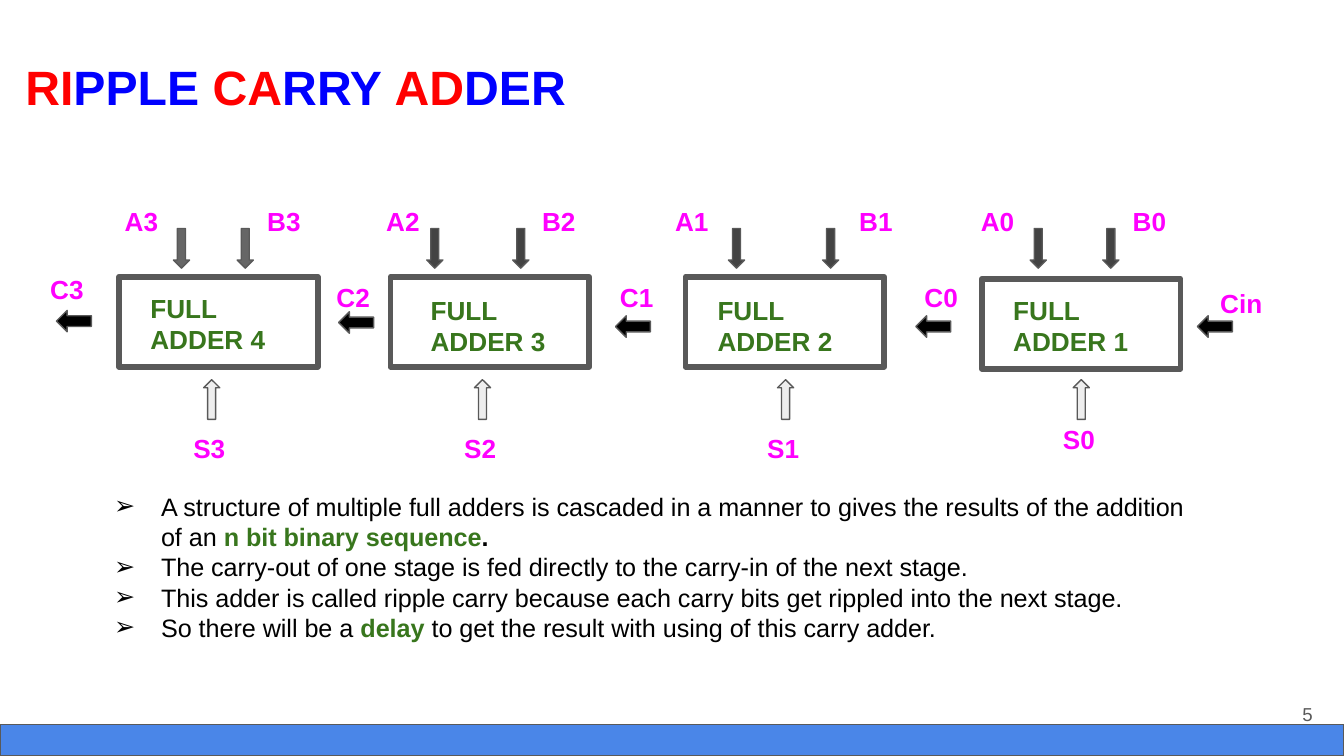
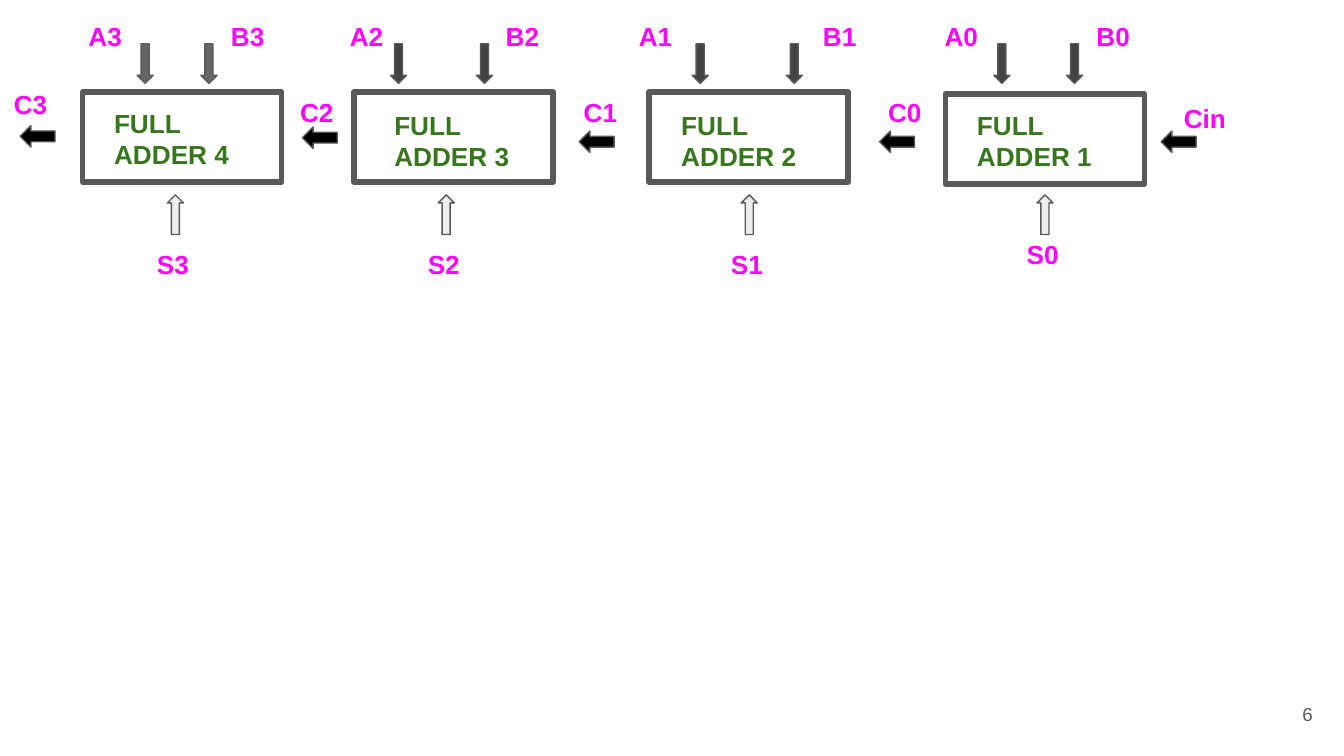
import lxml.etree
import pptx
import pptx.dml.color
import pptx.enum.shapes
import pptx.enum.text
import pptx.oxml.ns
import pptx.util

RGBColor = pptx.dml.color.RGBColor
Preset = pptx.enum.shapes.MSO_SHAPE
Anchor = pptx.enum.text.MSO_ANCHOR
Align = pptx.enum.text.PP_ALIGN

PX = 4572
FONT = "Arial"
WHITE = RGBColor(0xFF, 0xFF, 0xFF)
BLACK = RGBColor(0x00, 0x00, 0x00)
RED = RGBColor(0xFF, 0x00, 0x00)
BLUE = RGBColor(0x00, 0x00, 0xFF)
GREEN = RGBColor(0x38, 0x76, 0x1D)
MAGENTA = RGBColor(0xFF, 0x00, 0xFF)
OUTLINE = RGBColor(0x59, 0x59, 0x59)
MID_GRAY = RGBColor(0x66, 0x66, 0x66)
DARK_GRAY = RGBColor(0x43, 0x43, 0x43)
PALE_GRAY = RGBColor(0xEE, 0xEE, 0xEE)
BAND_BLUE = RGBColor(0x4A, 0x86, 0xE8)


def add_block(slide, preset, left, top, width, height, fill, weight=0.75):
    shape = slide.shapes.add_shape(preset, left * PX, top * PX, width * PX, height * PX)
    shape.shadow.inherit = False
    shape.fill.solid()
    shape.fill.fore_color.rgb = fill
    shape.line.color.rgb = OUTLINE
    shape.line.width = pptx.util.Pt(weight)


def add_text(slide, left, top, width, height, paragraphs, size, bold=False):
    box = slide.shapes.add_textbox(left * PX, top * PX, width * PX, height * PX)
    frame = box.text_frame
    frame.word_wrap = True
    frame.margin_left = frame.margin_right = 20 * PX
    frame.margin_top = frame.margin_bottom = 20 * PX
    for index, runs in enumerate(paragraphs):
        paragraph = frame.add_paragraph() if index else frame.paragraphs[0]
        paragraph.font.name = FONT
        paragraph.font.size = pptx.util.Pt(size)
        paragraph.font.bold = bold
        for text, color in runs:
            run = paragraph.add_run()
            run.text = text
            run.font.color.rgb = color
    return frame


presentation = pptx.Presentation()
presentation.slide_width = 2000 * PX
presentation.slide_height = 1125 * PX
blank_layout = presentation.slide_layouts[6]

STAGES = [
    (3, 177, 412, 204, 415, 270, (258, 353), (166, 378), (84, 462), (55, 387), 303, 624, MID_GRAY),
    (2, 581, 412, 621, 418, 230, (635, 763), (555, 787), (504, 464), (481, 399), 706, 624, DARK_GRAY),
    (1, 1020, 412, 1048, 418, 270, (1084, 1224), (985, 1259), (916, 470), (903, 399), 1157, 624, DARK_GRAY),
    (0, 1461, 415, 1488, 418, 270, (1533, 1641), (1440, 1666), (1363, 470), (1356, 399), 1597, 610, DARK_GRAY),
]

for number, dx, dy in [(5, 0, 0), (6, -54, -275)]:
    slide = presentation.slides.add_slide(blank_layout)
    for (bit, box_left, box_top, name_left, name_top, name_width, input_arrows, input_labels,
         carry_arrow, carry_label, sum_left, sum_label_top, input_fill) in STAGES:
        add_block(slide, Preset.RECTANGLE, box_left + dx, box_top + dy, 296, 134, WHITE, 3)
        add_text(slide, name_left + dx, name_top + dy, name_width, 134,
                 [[(f"FULL ADDER {bit + 1}", GREEN)]], 14, True)
        for letter, arrow_left, label_left in zip("AB", input_arrows, input_labels):
            add_block(slide, Preset.DOWN_ARROW, arrow_left + dx, 340 + dy, 24, 59, input_fill)
            add_text(slide, label_left + dx, 286 + dy, 94, 88,
                     [[(f"{letter}{bit}", MAGENTA)]], 14, True)
        add_block(slide, Preset.LEFT_ARROW, carry_arrow[0] + dx, carry_arrow[1] + dy, 52, 32, BLACK)
        add_text(slide, carry_label[0] + dx, carry_label[1] + dy, 94, 88,
                 [[(f"C{bit}", MAGENTA)]], 14, True)
        add_block(slide, Preset.UP_ARROW, sum_left + dx, 565 + dy, 24, 59, PALE_GRAY)
        add_text(slide, sum_left - 35 + dx, sum_label_top + dy, 94, 88,
                 [[(f"S{bit}", MAGENTA)]], 14, True)
    add_block(slide, Preset.LEFT_ARROW, 1782 + dx, 470 + dy, 52, 32, BLACK)
    add_text(slide, 1796 + dx, 408 + dy, 164, 88, [[("Cin", MAGENTA)]], 14, True)
    number_frame = add_text(slide, 1853, 1020, 120, 86, [[(str(number), OUTLINE)]], 10)
    number_frame.vertical_anchor = Anchor.MIDDLE
    number_frame.paragraphs[0].alignment = Align.RIGHT

slide = presentation.slides[0]
title_runs = [("RI", RED), ("PPLE ", BLUE), ("CA", RED), ("RRY ", BLUE), ("AD", RED), ("DER", BLUE)]
title_frame = add_text(slide, 18, 18, 1864, 174, [title_runs], 25.8, True)
title_frame.vertical_anchor = Anchor.BOTTOM

summary_frame = add_text(slide, 120, 711, 1696, 364, [
    [("A structure of multiple full adders is cascaded in a manner to gives the results "
      "of the addition of an ", BLACK), ("n bit binary sequence", GREEN), (".", BLACK)],
    [("The carry-out of one stage is fed directly to the carry-in of the next stage.", BLACK)],
    [("This adder is called ripple carry because each carry bits get rippled into the next stage.", BLACK)],
    [("So there will be a ", BLACK), ("delay ", GREEN),
     ("to get the result with using of this carry adder.", BLACK)],
], 13.5)
for paragraph in summary_frame.paragraphs:
    properties = paragraph._p.get_or_add_pPr()
    properties.set("marL", str(100 * PX))
    properties.set("indent", str(-70 * PX))
    bullet_color = lxml.etree.Element(pptx.oxml.ns.qn("a:buClr"))
    lxml.etree.SubElement(bullet_color, pptx.oxml.ns.qn("a:srgbClr"), val=str(BLACK))
    bullet_font = lxml.etree.Element(pptx.oxml.ns.qn("a:buFont"), typeface=FONT)
    bullet = lxml.etree.Element(pptx.oxml.ns.qn("a:buChar"), char="➢")
    for position, element in enumerate([bullet_color, bullet_font, bullet]):
        properties.insert(position, element)
    for run in paragraph.runs:
        run.font.bold = run.font.color.rgb == GREEN or run.text == "."

add_block(slide, Preset.RECTANGLE, 0, 1078, 2000, 47, BAND_BLUE)

presentation.save("out.pptx")
